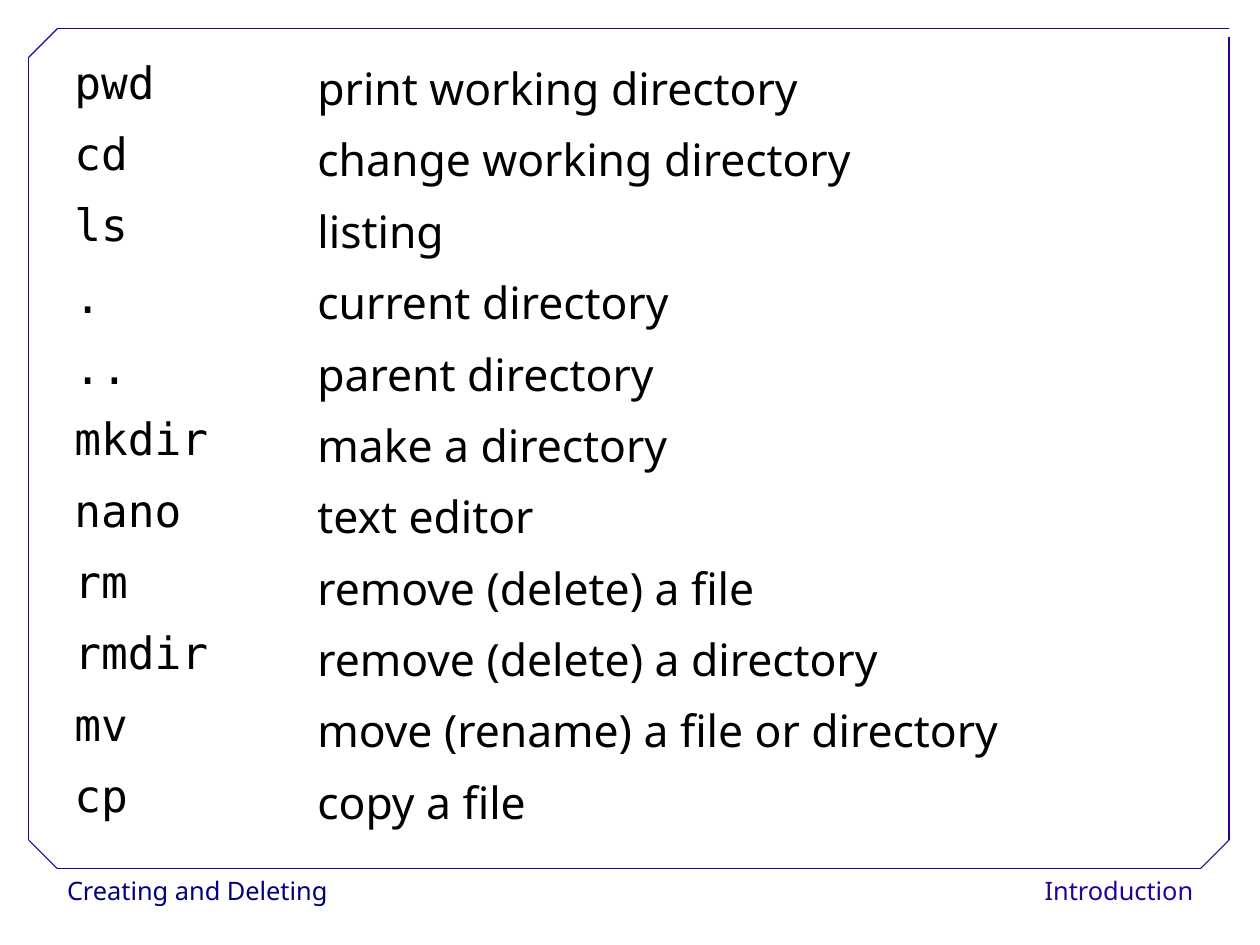
from dataclasses import dataclass

from lxml.etree import SubElement
from pptx import Presentation
from pptx.dml.color import RGBColor
from pptx.enum.shapes import MSO_CONNECTOR
from pptx.enum.text import PP_ALIGN
from pptx.oxml.ns import qn
from pptx.util import Cm, Pt


@dataclass(frozen=True)
class Theme:
    ink: RGBColor = RGBColor(0, 0, 0)
    paper: RGBColor = RGBColor(255, 255, 255)
    navy: RGBColor = RGBColor(0, 0, 0x80)
    violet: RGBColor = RGBColor(0x28, 0, 0x99)
    sans: str = "Noto Sans"
    mono: str = "DejaVu Sans Mono"
    body: Pt = Pt(28)
    small: Pt = Pt(16)
    rule: Pt = Pt(0.75)


THEME = Theme()

COMMANDS = [
    ("pwd", "print working directory"),
    ("cd", "change working directory"),
    ("ls", "listing"),
    (".", "current directory"),
    ("..", "parent directory"),
    ("mkdir", "make a directory"),
    ("nano", "text editor"),
    ("rm", "remove (delete) a file"),
    ("rmdir", "remove (delete) a directory"),
    ("mv", "move (rename) a file or directory"),
    ("cp", "copy a file"),
]


def style(para, face, size, color, pitch):
    para.line_spacing = pitch
    font = para.font
    font.name, font.size = face, size
    font.color.rgb = color


def add_label(slide, box, text, color, align):
    label = slide.shapes.add_textbox(*map(Cm, box))
    label.fill.solid()
    label.fill.fore_color.rgb = THEME.paper
    frame = label.text_frame
    frame.word_wrap = False
    para = frame.paragraphs[0]
    para.text = text
    para.alignment = align
    style(para, THEME.sans, THEME.small, color, 1.02)


def add_frame(slide, box, cut, gap):
    """Border with cut corners, left open at the top right."""
    left, top, width, height = box
    right, base = left + width, top + height
    lines = [
        (left + cut, base, right - cut, base),
        (left, base - cut, left, top + cut),
        (left + cut, top, right, top),
        (right, base - cut, right, top + gap),
        (left, top + cut, left + cut, top),
        (right - cut, base, right, base - cut),
        (left, base - cut, left + cut, base),
    ]
    group = slide.shapes.add_group_shape()
    for ends in lines:
        line = group.shapes.add_connector(MSO_CONNECTOR.STRAIGHT, *map(Cm, ends))
        line.line.color.rgb = THEME.violet
        line.line.width = THEME.rule
        SubElement(line._element.spPr, qn("a:effectLst"))


def add_list(slide, box, split):
    """Two-column table: command and meaning."""
    width, height = box[2:]
    table = slide.shapes.add_table(len(COMMANDS), 2, *map(Cm, box)).table
    table.first_row = table.horz_banding = False
    table.columns[0].width = Cm(split)
    table.columns[1].width = Cm(width - split)
    for row, texts in zip(table.rows, COMMANDS):
        row.height = Cm(height / len(COMMANDS))
        for cell, text, face in zip(row.cells, texts, (THEME.mono, THEME.sans)):
            cell.fill.background()
            para = cell.text_frame.paragraphs[0]
            para.text = text
            style(para, face, THEME.body, THEME.ink, 0.93)


def main():
    deck = Presentation()
    deck.slide_width, deck.slide_height = Cm(28), Cm(21)
    slide = deck.slides.add_slide(deck.slide_layouts[6])

    # Footer labels
    add_label(slide, (1.24, 19.3, 6.3, 1.02), "Creating and Deleting",
              THEME.navy, PP_ALIGN.LEFT)
    add_label(slide, (22.95, 19.3, 3.82, 1.02), "Introduction",
              THEME.violet, PP_ALIGN.RIGHT)

    # Border
    add_frame(slide, (0.64, 0.64, 26.67, 18.66), cut=0.63, gap=0.18)

    # Command list
    add_list(slide, (1.4, 1.22, 25.2, 17.45), split=5.4)

    deck.save("out.pptx")


if __name__ == "__main__":
    main()
